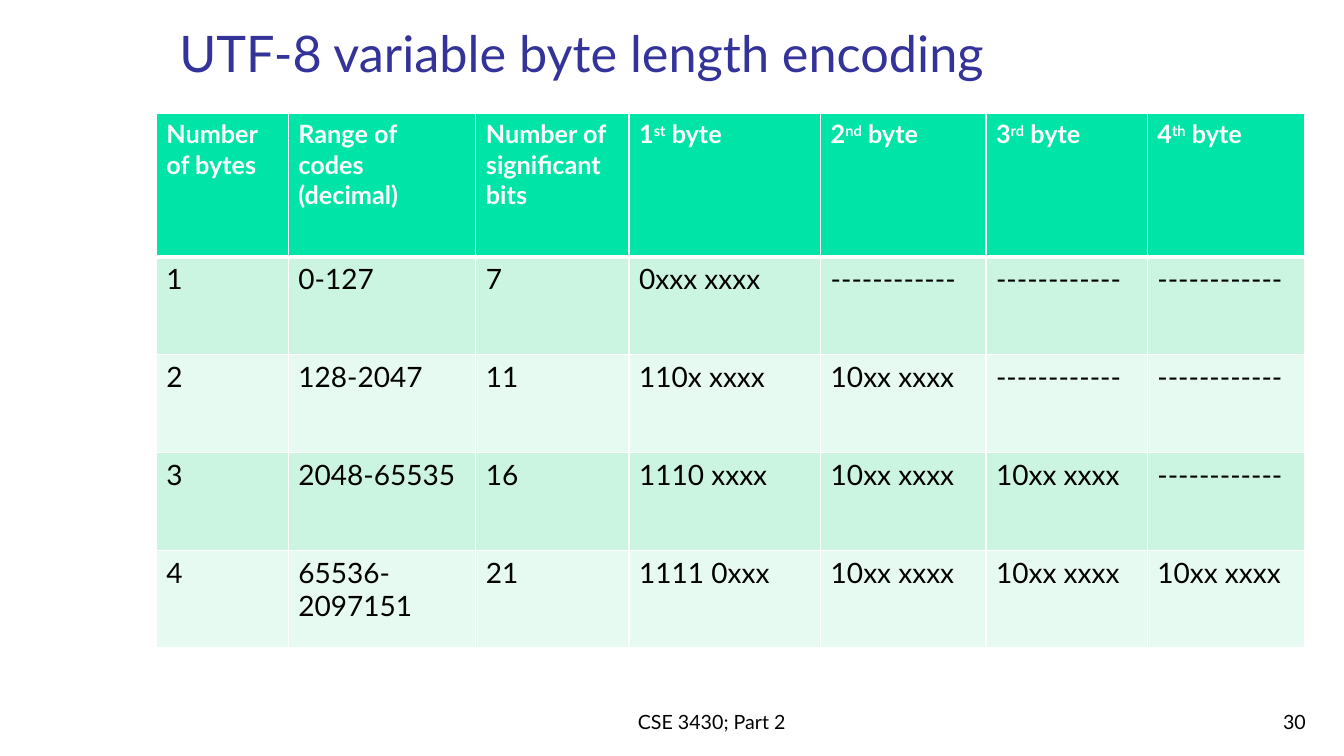
"""Build the slide on UTF-8 variable byte length encoding."""
from lxml import etree
from pptx import Presentation
from pptx.dml.color import RGBColor
from pptx.enum.text import MSO_ANCHOR as ANCHOR, PP_ALIGN as ALIGN
from pptx.oxml.ns import qn
from pptx.util import Inches, Pt

FONT = "Lato"
WHITE = RGBColor(0xFF, 0xFF, 0xFF)
BLACK = RGBColor(0, 0, 0)
INDIGO = RGBColor(0x33, 0x33, 0x99)
GREEN = RGBColor(0x00, 0xE4, 0xA8)
BANDS = [RGBColor(0xCC, 0xF5, 0xE1), RGBColor(0xE7, 0xFA, 0xF1)]

TEXTS = [
    ("UTF-8 variable byte length encoding", (1.68, 0.14, 11.15, 0.73), 36, INDIGO, ALIGN.LEFT),
    ("CSE 3430; Part 2", (3.31, 6.82, 7.5, 0.51), 14, BLACK, ALIGN.CENTER),
    ("30", (10.27, 6.83, 2.78, 0.5), 14, BLACK, ALIGN.RIGHT),
]
HEADER = [
    ("Number of bytes",),
    ("Range of codes (decimal)",),
    ("Number of significant bits",),
    ("1", "st", " byte"),
    ("2", "nd", " byte"),
    ("3", "rd", " byte"),
    ("4", "th", " byte"),
]
MAX_BYTES = 4
CONTINUATION = "10xx xxxx"
UNUSED = "------------"
ENCODINGS = [
    ("0-127", "7", "0xxx xxxx"),
    ("128-2047", "11", "110x xxxx"),
    ("2048-65535", "16", "1110 xxxx"),
    ("65536-2097151", "21", "1111 0xxx"),
]
TABLE_LEFT, TABLE_TOP = 1.55, 1.13
COL_WIDTHS = [1.31, 1.86, 1.52, 1.9, 1.64, 1.6, 1.56]
ROW_HEIGHTS = [1.42] + [0.97] * len(ENCODINGS)


def style(r, size, color, bold=False):
    r.font.name = FONT
    r.font.size = Pt(size)
    r.font.bold = bold
    r.font.color.rgb = color


def add_text(slide, text, box, size, color, align):
    tf = slide.shapes.add_textbox(*map(Inches, box)).text_frame
    tf.word_wrap = True
    tf.vertical_anchor = ANCHOR.BOTTOM
    p = tf.paragraphs[0]
    p.text = text
    p.alignment = align
    style(p.runs[0], size, color)


def set_borders(cell, top, bottom):
    tc_pr = cell._tc.get_or_add_tcPr()
    for side, width in (("L", 1), ("R", 1), ("T", top), ("B", bottom)):
        ln = etree.SubElement(tc_pr, qn(f"a:ln{side}"), w=str(Pt(width)))
        fill = etree.SubElement(ln, qn("a:solidFill"))
        etree.SubElement(fill, qn("a:srgbClr"), val=str(WHITE))


def fill_cell(cell, parts, row):
    is_header = row == 0
    set_borders(cell, 3 if row == 1 else 1, 3 if is_header else 1)
    cell.fill.solid()
    cell.fill.fore_color.rgb = GREEN if is_header else BANDS[(row - 1) % 2]
    p = cell.text_frame.paragraphs[0]
    for i, part in enumerate(parts):
        r = p.add_run()
        r.text = part
        style(r, 18 if is_header else 20, WHITE if is_header else BLACK, is_header)
        if i == 1:
            r.font._element.set("baseline", "30000")


def add_encoding_table(slide):
    rows = [HEADER]
    for n, (codes, bits, first) in enumerate(ENCODINGS, 1):
        values = [str(n), codes, bits, first]
        values += [CONTINUATION] * (n - 1) + [UNUSED] * (MAX_BYTES - n)
        rows.append([(value,) for value in values])
    size = (TABLE_LEFT, TABLE_TOP, sum(COL_WIDTHS), sum(ROW_HEIGHTS))
    table = slide.shapes.add_table(len(rows), len(HEADER), *map(Inches, size)).table
    for column, width in zip(table.columns, COL_WIDTHS):
        column.width = Inches(width)
    for i, (cells, height) in enumerate(zip(rows, ROW_HEIGHTS)):
        table.rows[i].height = Inches(height)
        for j, parts in enumerate(cells):
            fill_cell(table.cell(i, j), parts, i)


def main():
    prs = Presentation()
    prs.slide_width, prs.slide_height = Inches(13.33), Inches(7.5)
    slide = prs.slides.add_slide(prs.slide_layouts[6])
    title, *footers = TEXTS
    add_text(slide, *title)
    add_encoding_table(slide)
    for footer in footers:
        add_text(slide, *footer)
    prs.save("out.pptx")


if __name__ == "__main__":
    main()
